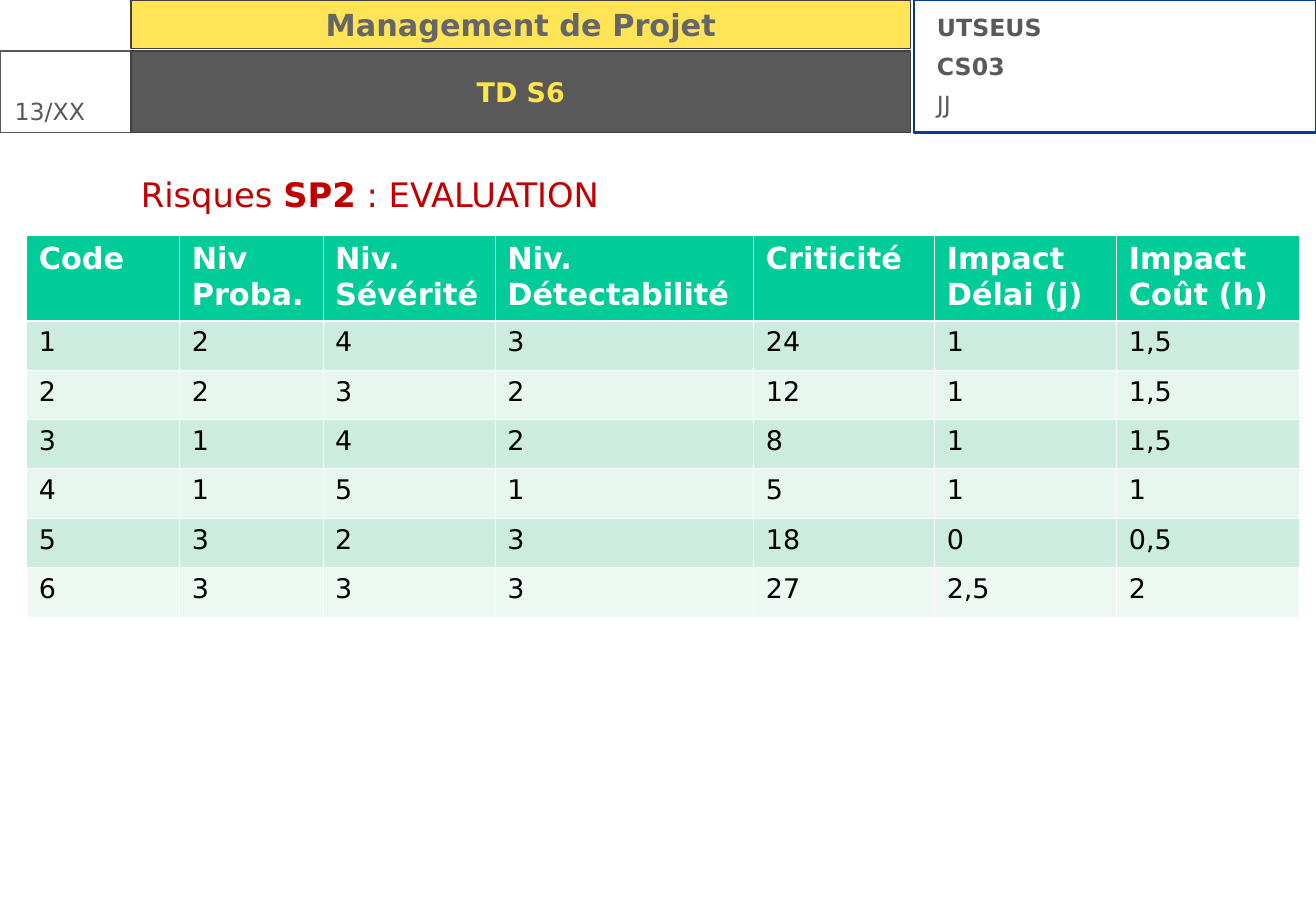
from dataclasses import dataclass

from pptx import Presentation
from pptx import util as u
from pptx.dml.color import RGBColor
from pptx.enum import shapes, text
from pptx.oxml import ns, xmlchemy


@dataclass(frozen=True)
class Theme:
    font: str = "DejaVu Sans"
    navy: str = "033D8B"
    yellow: str = "FFD912"
    pale_yellow: str = "FFE44C"
    outline: str = "404040"
    grey: str = "595959"
    light_grey: str = "666666"
    red: str = "C00000"
    white: str = "FFFFFF"
    black: str = "000000"
    header: str = "00CC99"
    odd_row: str = "CBECDE"
    even_row: str = "E7F6EF"
    last_row: str = "EEF9F4"
    heading_size: int = 20
    large_size: int = 18
    medium_size: int = 16
    small_size: int = 14


THEME = Theme()
ANCHOR = text.MSO_ANCHOR
EMU_PER_PX = 3048
SIDE_INSET, TOP_INSET = 30, 15

COLUMN_WIDTHS = [378, 354, 426, 639, 447, 450, 450]
HEADER_HEIGHT, ROW_HEIGHT = 210, 122
THIN_BORDER, THICK_BORDER = 0.45, 1.47
HEADERS = ["Code", "Niv\nProba.", "Niv.\nSévérité", "Niv.\nDétectabilité",
           "Criticité", "Impact\nDélai (j)", "Impact Coût (h)"]
RISKS = [
    ["1", "2", "4", "3", "24", "1", "1,5"],
    ["2", "2", "3", "2", "12", "1", "1,5"],
    ["3", "1", "4", "2", "8", "1", "1,5"],
    ["4", "1", "5", "1", "5", "1", "1"],
    ["5", "3", "2", "3", "18", "0", "0,5"],
    ["6", "3", "3", "3", "27", "2,5", "2"],
]


def px(length):
    return u.Emu(length * EMU_PER_PX)


def color(value):
    return RGBColor.from_string(value)


def style(paragraph, size, ink, bold=False):
    paragraph.font.name = THEME.font
    paragraph.font.size = u.Pt(size)
    paragraph.font.color.rgb = color(ink)
    paragraph.font.bold = bold


def set_frame(frame, anchor, left=SIDE_INSET, right=SIDE_INSET, top=TOP_INSET):
    frame.word_wrap = True
    frame.vertical_anchor = anchor
    frame.margin_left, frame.margin_right = px(left), px(right)
    frame.margin_top = frame.margin_bottom = px(top)


def add_box(slide, bounds, line, weight, fill=None, alpha=None):
    shape = slide.shapes.add_shape(shapes.MSO_SHAPE.RECTANGLE, *map(px, bounds))
    shape.shadow.inherit = False
    shape.line.color.rgb = color(line)
    shape.line.width = u.Pt(weight)
    if fill is None:
        shape.fill.background()
        return shape
    shape.fill.solid()
    shape.fill.fore_color.rgb = color(fill)
    if alpha is not None:
        solid = shape._element.spPr.find(ns.qn("a:solidFill"))
        transparency = xmlchemy.OxmlElement("a:alpha")
        transparency.set("val", str(alpha * 1000))
        solid[0].append(transparency)
    return shape


def add_banner(slide, bounds, words, size, ink, fill, anchor, alpha=None):
    banner = add_box(slide, bounds, THEME.outline, 0.75, fill, alpha)
    set_frame(banner.text_frame, anchor)
    paragraph = banner.text_frame.paragraphs[0]
    paragraph.text = words
    paragraph.alignment = text.PP_ALIGN.CENTER
    style(paragraph, size, ink, bold=True)


def add_text(slide, bounds, lines, **insets):
    frame = slide.shapes.add_textbox(*map(px, bounds)).text_frame
    set_frame(frame, ANCHOR.TOP, **insets)
    frame.text = "\n".join(lines)
    return frame.paragraphs


def add_page_number(slide):
    number, = add_text(slide, (0, 225, 324, 180), ["13/XX"], left=36, right=0)
    style(number, THEME.small_size, THEME.grey)


def add_course(slide):
    paragraphs = add_text(slide, (2286, 18, 951, 291), ["UTSEUS", "CS03", "JJ"])
    for paragraph in paragraphs:
        style(paragraph, THEME.small_size, THEME.grey, bold=paragraph.text != "JJ")
        paragraph.space_after = u.Pt(6)


def add_heading(slide):
    heading, = add_text(slide, (312, 426, 2625, 1662), [""], left=36, right=36, top=3)
    style(heading, THEME.heading_size, THEME.red)
    for words in ["Risques ", "SP2", " : EVALUATION"]:
        run = heading.add_run()
        run.text = words
        run.font.bold = words == "SP2"


def set_border(cell, side, weight):
    line = xmlchemy.OxmlElement(f"a:ln{side}")
    line.set("w", str(u.Pt(weight)))
    fill = xmlchemy.OxmlElement("a:solidFill")
    ink = xmlchemy.OxmlElement("a:srgbClr")
    ink.set("val", THEME.white)
    fill.append(ink)
    line.append(fill)
    cell._tc.get_or_add_tcPr().append(line)


def fill_cell(cell, words, row):
    header = row == 0
    cell.text = words
    cell.margin_left = cell.margin_right = px(SIDE_INSET)
    cell.margin_top = cell.margin_bottom = px(TOP_INSET)
    weights = {"L": THIN_BORDER, "R": THIN_BORDER,
               "T": THICK_BORDER if row == 1 else THIN_BORDER,
               "B": THICK_BORDER if header else THIN_BORDER}
    for side, weight in weights.items():
        set_border(cell, side, weight)
    if header:
        background = THEME.header
    elif row == len(RISKS):
        background = THEME.last_row
    else:
        background = THEME.odd_row if row % 2 else THEME.even_row
    cell.fill.solid()
    cell.fill.fore_color.rgb = color(background)
    for paragraph in cell.text_frame.paragraphs:
        style(paragraph, THEME.large_size if header else THEME.medium_size,
              THEME.white if header else THEME.black, bold=header)


def add_risk_table(slide):
    rows = [HEADERS, *RISKS]
    heights = [HEADER_HEIGHT] + [ROW_HEIGHT] * len(RISKS)
    bounds = (66, 582, sum(COLUMN_WIDTHS), sum(heights))
    table = slide.shapes.add_table(len(rows), len(HEADERS), *map(px, bounds)).table
    for column, width in zip(table.columns, COLUMN_WIDTHS):
        column.width = px(width)
    for index, (values, height) in enumerate(zip(rows, heights)):
        table.rows[index].height = px(height)
        for cell, words in zip(table.rows[index].cells, values):
            fill_cell(cell, words, index)


def main():
    presentation = Presentation()
    presentation.slide_width, presentation.slide_height = px(3252), px(2250)
    slide = presentation.slides.add_slide(presentation.slide_layouts[6])
    add_box(slide, (2259, 0, 993, 327), THEME.navy, 1.5)
    add_banner(slide, (324, 0, 1926, 120), "Management de Projet", THEME.large_size,
               THEME.light_grey, THEME.yellow, ANCHOR.TOP, alpha=70)
    add_page_number(slide)
    add_box(slide, (0, 126, 324, 201), THEME.grey, 0.75)
    add_course(slide)
    add_banner(slide, (324, 126, 1926, 201), "TD S6", THEME.medium_size,
               THEME.pale_yellow, THEME.grey, ANCHOR.MIDDLE)
    add_heading(slide)
    add_risk_table(slide)
    presentation.save("out.pptx")


if __name__ == "__main__":
    main()
